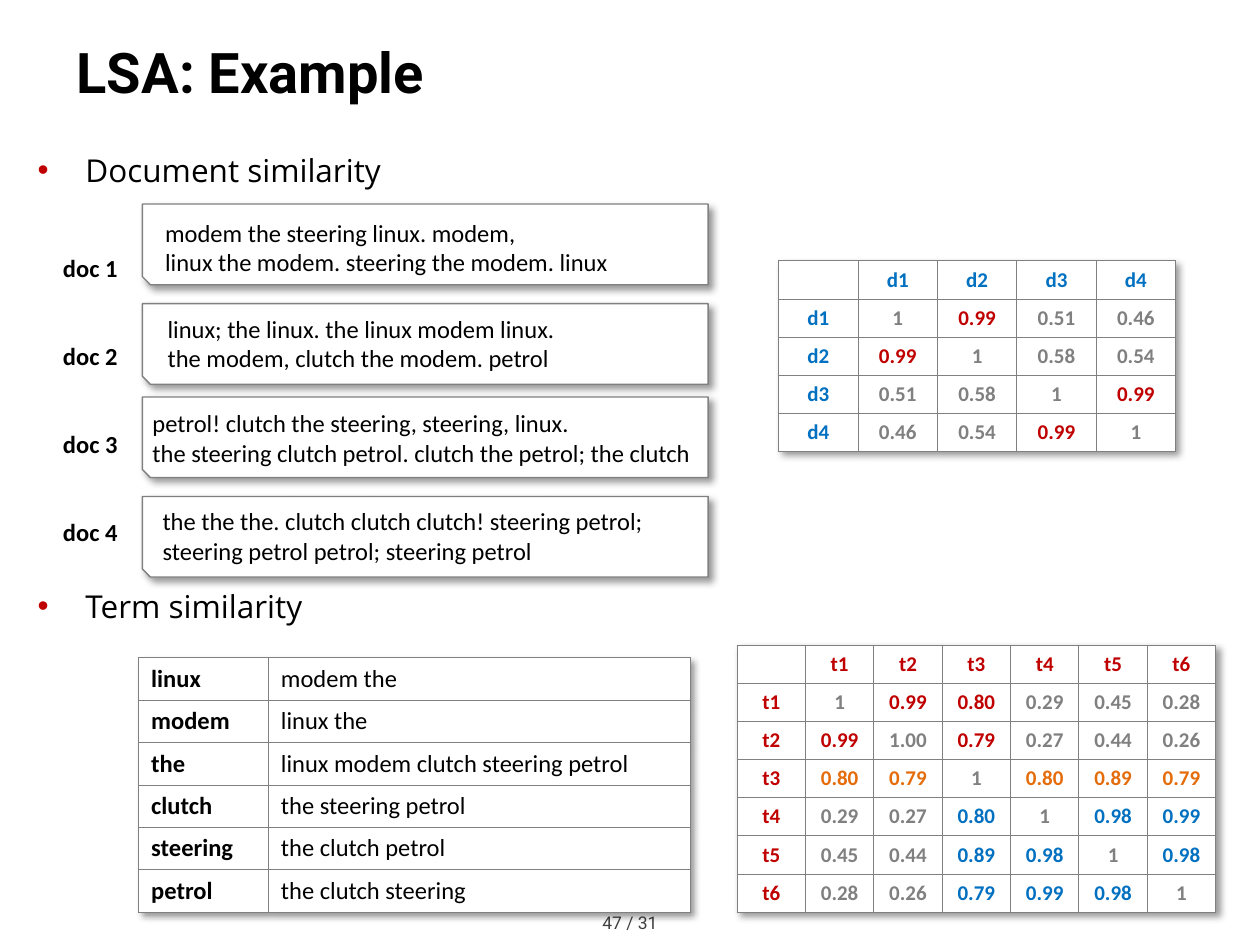
from lxml import etree
from pptx import Presentation
from pptx.dml.color import RGBColor
from pptx.enum.shapes import MSO_SHAPE
from pptx.enum.text import MSO_ANCHOR, PP_ALIGN
from pptx.oxml import parse_xml
from pptx.oxml.ns import nsdecls, qn
from pptx.util import Inches, Pt

LEFT, CENTER = PP_ALIGN.LEFT, PP_ALIGN.CENTER
TOP, MIDDLE = MSO_ANCHOR.TOP, MSO_ANCHOR.MIDDLE
SNIPPED = MSO_SHAPE.SNIP_1_RECTANGLE

BLACK = RGBColor(0x00, 0x00, 0x00)
WHITE = RGBColor(0xFF, 0xFF, 0xFF)
DARK = RGBColor(0x40, 0x40, 0x40)
GREY = RGBColor(0x80, 0x80, 0x80)
RED = RGBColor(0xC0, 0x00, 0x00)
BLUE = RGBColor(0x00, 0x70, 0xC0)
ORANGE = RGBColor(0xE4, 0x6C, 0x0A)

COLUMNS, ROWS = 100, 75
STRONG = 0.75  # similarities from here on are highlighted

DOCUMENTS = [  # card top, text left, text top, lines
    (16.2, 13.1, 16.8, ["modem the steering linux. modem,",
                        "linux the modem. steering the modem. linux"]),
    (24.1, 13.3, 24.4, ["linux; the linux. the linux modem linux.",
                        "the modem, clutch the modem. petrol"]),
    (31.5, 12.1, 31.9, ["petrol! clutch the steering, steering, linux.",
                        "the steering clutch petrol. clutch the petrol; the clutch"]),
    (39.4, 12.9, 39.7, ["the the the. clutch clutch clutch! steering petrol;",
                        "steering petrol petrol; steering petrol"]),
]
DOCUMENT_SIMILARITY = [
    ["1", "0.99", "0.51", "0.46"],
    ["0.99", "1", "0.58", "0.54"],
    ["0.51", "0.58", "1", "0.99"],
    ["0.46", "0.54", "0.99", "1"],
]
TERM_SIMILARITY = [
    ["1", "0.99", "0.80", "0.29", "0.45", "0.28"],
    ["0.99", "1.00", "0.79", "0.27", "0.44", "0.26"],
    ["0.80", "0.79", "1", "0.80", "0.89", "0.79"],
    ["0.29", "0.27", "0.80", "1", "0.98", "0.99"],
    ["0.45", "0.44", "0.89", "0.98", "1", "0.98"],
    ["0.28", "0.26", "0.79", "0.99", "0.98", "1"],
]
RELATED_TERMS = [
    ("linux", "modem the"),
    ("modem", "linux the"),
    ("the", "linux modem clutch steering petrol"),
    ("clutch", "the steering petrol"),
    ("steering", "the clutch petrol"),
    ("petrol", "the clutch steering"),
]


def soft_shadow():
    return parse_xml(
        f'<a:effectLst {nsdecls("a")}><a:outerShdw blurRad="{Pt(4)}" dist="{Pt(3)}" '
        'dir="2700000" algn="tl" rotWithShape="0"><a:srgbClr val="000000">'
        '<a:alpha val="40000"/></a:srgbClr></a:outerShdw></a:effectLst>')


def add_bullet(para, color, indent):
    properties = para._p.get_or_add_pPr()
    properties.set("marL", str(indent))
    properties.set("indent", str(-indent))
    bullet_color = etree.SubElement(properties, qn("a:buClr"))
    etree.SubElement(bullet_color, qn("a:srgbClr"), val=str(color))
    etree.SubElement(properties, qn("a:buFont"), typeface="Arial")
    etree.SubElement(properties, qn("a:buChar"), char="•")


def set_borders(cell):
    properties = cell._tc.get_or_add_tcPr()
    for index, side in enumerate(("lnL", "lnR", "lnT", "lnB")):
        properties.insert(index, parse_xml(
            f'<a:{side} {nsdecls("a")} w="{Pt(0.5)}"><a:solidFill>'
            f'<a:srgbClr val="{GREY}"/></a:solidFill></a:{side}>'))


class SlidePainter:
    """Draws on one slide; lengths are columns and rows of its grid."""

    def __init__(self, deck):
        self.page = deck.slides.add_slide(deck.slide_layouts[6])
        self.column = deck.slide_width / COLUMNS
        self.row = deck.slide_height / ROWS

    def area(self, left, top, width, height):
        return (round(left * self.column), round(top * self.row),
                round(width * self.column), round(height * self.row))

    def style(self, para, size, color=BLACK, bold=False, font="Calibri", align=LEFT):
        para.alignment = align
        para.font.size = Pt(size)
        para.font.name = font
        para.font.bold = bold
        para.font.color.rgb = color

    def text(self, place, lines, size, inset=0.0, anchor=TOP, bullet=None,
             line_spacing=None, **look):
        box = self.page.shapes.add_textbox(*self.area(*place))
        frame = box.text_frame
        frame.word_wrap = True
        frame.vertical_anchor = anchor
        frame.margin_left = frame.margin_right = Inches(inset)
        frame.text = "\n".join(lines)
        for para in frame.paragraphs:
            if line_spacing:
                para.line_spacing = line_spacing
            if bullet:
                add_bullet(para, bullet, Inches(0.38))
            self.style(para, size, **look)
        return frame.paragraphs

    def card(self, place):
        shape = self.page.shapes.add_shape(SNIPPED, *self.area(*place))
        shape.adjustments[0] = 0.1
        shape.rotation = 180
        shape.fill.solid()
        shape.fill.fore_color.rgb = WHITE
        shape.line.color.rgb = GREY
        shape.line.width = Pt(0.75)
        shape.shadow.inherit = False
        shape._element.spPr.find(qn("a:effectLst")).extend(soft_shadow())

    def table(self, left, top, widths, row_height, cells):
        """Each cell is a pair of its text and its look."""
        place = self.area(left, top, sum(widths), row_height * len(cells))
        grid = self.page.shapes.add_table(len(cells), len(widths), *place).table
        grid.first_row = grid.horz_banding = False
        grid._tbl.tblPr.insert(0, soft_shadow())
        for column, width in zip(grid.columns, widths):
            column.width = round(width * self.column)
        for row, contents in zip(grid.rows, cells):
            row.height = round(row_height * self.row)
            for cell, (content, look) in zip(row.cells, contents):
                cell.text = content
                cell.vertical_anchor = MIDDLE
                cell.margin_top = cell.margin_bottom = 0
                cell.fill.solid()
                cell.fill.fore_color.rgb = WHITE
                set_borders(cell)
                self.style(cell.text_frame.paragraphs[0], **look)

    def matrix(self, left, top, width, prefix, values, header_color, highlights):
        """Similarity table; highlights holds one colour for each row."""
        def look(color):
            return {"size": 12, "color": color, "bold": True, "align": CENTER}

        names = [f"{prefix}{number}" for number in range(1, len(values) + 1)]
        cells = [[(name, look(header_color)) for name in ["", *names]]]
        for index, (name, numbers) in enumerate(zip(names, values)):
            line = [(name, look(header_color))]
            for position, number in enumerate(numbers):
                strong = position != index and float(number) >= STRONG
                line.append((number, look(highlights[index] if strong else GREY)))
            cells.append(line)
        count = len(cells)
        self.table(left, top, [width / count] * count, 3.03, cells)


def main():
    deck = Presentation()
    deck.slide_width, deck.slide_height = Inches(10), Inches(7.5)
    painter = SlidePainter(deck)

    painter.text((0, 71.9, 100, 2.7), ["47 / 31"], 10, inset=0.08,
                 font="Roboto", color=DARK, align=CENTER)
    painter.text((5.1, 1.3, 92.9, 8.7), ["LSA: Example"], 32, inset=0.1,
                 anchor=MIDDLE, font="Roboto", bold=True)
    headings = painter.text((2, 11.5, 96.1, 59.8),
                            ["Document similarity", "Term similarity"], 18,
                            inset=0.1, bullet=RED, font="Open Sans")
    headings[1].space_before = Pt(227.5)

    painter.matrix(61.8, 20.7, 31.5, "d", DOCUMENT_SIMILARITY, BLUE, [RED] * 4)
    painter.matrix(58.5, 51.2, 38, "t", TERM_SIMILARITY, RED,
                   [RED] * 2 + [ORANGE] + [BLUE] * 3)
    painter.table(11, 52.2, [10.3, 33.5], 3.37,
                  [[(term, {"size": 14, "bold": True}), (related, {"size": 14})]
                   for term, related in RELATED_TERMS])

    for card_top, text_left, text_top, lines in DOCUMENTS:
        painter.card((11.3, card_top, 44.9, 6.4))
        painter.text((text_left, text_top, 44.9, 5.7), lines, 14)
    painter.text((5, 14.9, 6.3, 29.3),
                 [f"doc {number}" for number in range(1, len(DOCUMENTS) + 1)],
                 14, bold=True, line_spacing=3.0)

    deck.save("out.pptx")


if __name__ == "__main__":
    main()
